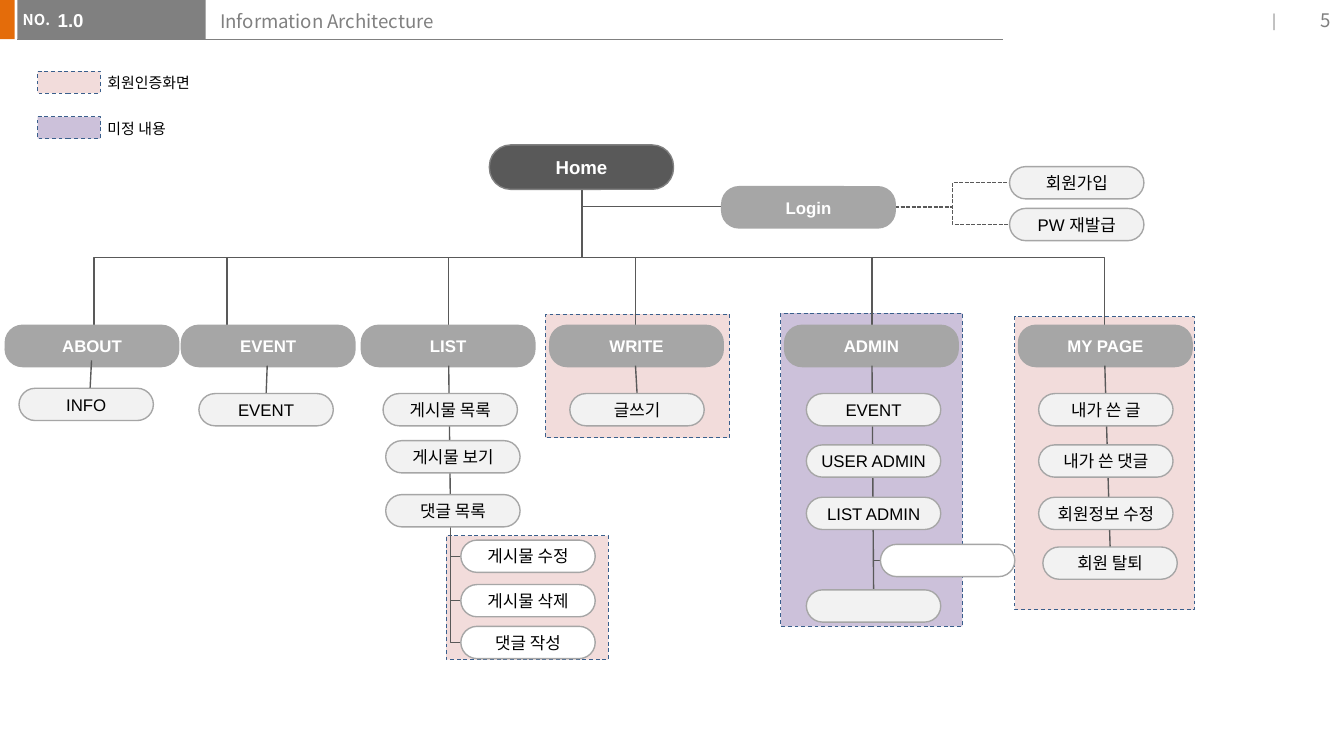
"""Builds the information architecture slide as a site map with branches."""
from dataclasses import dataclass
from typing import Any

from lxml import etree
from pptx import Presentation
from pptx.dml.color import RGBColor
from pptx.enum import dml, shapes, text
from pptx.oxml.ns import qn
from pptx.util import Cm, Pt


@dataclass(frozen=True)
class Theme:
    accent: str = "E46C0A"
    grey: str = "808080"
    dark: str = "595959"
    mid: str = "A6A6A6"
    pale: str = "F2F2F2"
    white: str = "FFFFFF"
    black: str = "000000"
    member: str = "F2DCDB"
    pending: str = "CCC1DA"
    zone_edge: str = "3A5F8C"
    latin: str = "Arial"
    korean: str = "Noto Sans CJK KR"
    heading: int = 10
    node: int = 9
    small: int = 8


@dataclass(frozen=True)
class Box:
    left: float
    top: float
    width: float
    height: float

    def lengths(self) -> tuple[Cm, Cm, Cm, Cm]:
        return Cm(self.left), Cm(self.top), Cm(self.width), Cm(self.height)


@dataclass(frozen=True)
class Page:
    label: str
    left: float
    top: float
    fill: str = Theme.pale


@dataclass(frozen=True)
class Branch:
    label: str
    left: float
    drop: float
    spine: tuple[float, float, float, float]
    pages: tuple[Page, ...]


THEME = Theme()
HEADER_TOP, HEADER_WIDTH, HEADER_HEIGHT = 6.15, 3.28, 0.78
PAGE_WIDTH, PAGE_HEIGHT = 2.54, 0.61
HOME_X, HOME_BOTTOM = 11.0, 3.58
LOGIN_LEFT, LOGIN_MIDDLE = 13.64, 3.91

BRANCHES = (
    Branch("ABOUT", 0.1, 1.78, (1.73, 6.81, 1.7, 7.4), (Page("INFO", 0.36, 7.34),)),
    Branch("EVENT", 3.43, 4.29, (5.05, 6.91, 5.03, 7.44), (Page("EVENT", 3.76, 7.44),)),
    Branch("LIST", 6.83, 8.48, (8.48, 6.91, 8.51, 9.4), (
        Page("게시물 목록", 7.24, 7.44), Page("게시물 보기", 7.29, 8.33),
        Page("댓글 목록", 7.29, 9.35))),
    Branch("WRITE", 10.39, 12.01, (12.01, 6.91, 12.04, 7.44), (Page("글쓰기", 10.77, 7.44),)),
    Branch("ADMIN", 14.83, 16.48, (16.48, 6.91, 16.51, 11.15), (
        Page("EVENT", 15.24, 7.44), Page("USER ADMIN", 15.24, 8.41),
        Page("LIST ADMIN", 15.24, 9.4), Page("", 15.24, 11.15))),
    Branch("MY PAGE", 19.25, 20.88, (20.88, 6.91, 20.98, 10.34), (
        Page("내가 쓴 글", 19.63, 7.44), Page("내가 쓴 댓글", 19.63, 8.41),
        Page("회원정보 수정", 19.63, 9.4), Page("회원 탈퇴", 19.71, 10.34))),
)
LIST_ACTIONS = (
    Page("게시물 수정", 8.71, 10.21, THEME.white),
    Page("게시물 삭제", 8.71, 11.05, THEME.white),
    Page("댓글 작성", 8.71, 11.84, THEME.white),
)
ADMIN_ACTION = Page("", 16.64, 10.29, THEME.white)
LOGIN_PAGES = (Page("회원가입", 19.08, 3.15), Page("PW 재발급", 19.08, 3.94))
ZONES = (
    (Box(14.76, 5.92, 3.43, 5.92), THEME.pending),
    (Box(8.43, 10.13, 3.07, 2.34), THEME.member),
    (Box(19.18, 5.99, 3.4, 5.54), THEME.member),
    (Box(10.31, 5.94, 3.48, 2.34), THEME.member),
)
LEGEND = (("회원인증화면", 1.35, THEME.member), ("미정 내용", 2.21, THEME.pending))


def write(frame: Any, words: str, *, size: int, color: str, font: str = THEME.korean,
          bold: bool = False, align: Any = text.PP_ALIGN.LEFT,
          anchor: Any = text.MSO_ANCHOR.TOP, wrap: bool = True,
          margins: tuple[float, float] = (0.25, 0.13), before: float | None = None) -> None:
    frame.word_wrap, frame.vertical_anchor = wrap, anchor
    frame.auto_size = text.MSO_AUTO_SIZE.NONE
    frame.margin_left = frame.margin_right = Cm(margins[0])
    frame.margin_top = frame.margin_bottom = Cm(margins[1])
    paragraph = frame.paragraphs[0]
    paragraph.alignment = align
    if before is not None:
        paragraph.space_before = Pt(before)
    run = paragraph.add_run()
    run.text = words
    run.font.name, run.font.size, run.font.bold = font, Pt(size), bold
    run.font.color.rgb = RGBColor.from_string(color)
    etree.SubElement(run.font._element, qn("a:ea"), typeface=THEME.korean)


def label(slide: Any, box: Box, words: str, **style: Any) -> None:
    write(slide.shapes.add_textbox(*box.lengths()).text_frame, words, **style)


def block(slide: Any, box: Box, fill: str, edge: str | None = None, *,
          preset: Any = shapes.MSO_SHAPE.RECTANGLE, weight: float = 0.5) -> Any:
    area = slide.shapes.add_shape(preset, *box.lengths())
    area.shadow.inherit = False
    area.fill.solid()
    area.fill.fore_color.rgb = RGBColor.from_string(fill)
    if edge:
        area.line.color.rgb = RGBColor.from_string(edge)
        area.line.width = Pt(weight)
    else:
        area.line.fill.background()
    return area


def zone(slide: Any, box: Box, fill: str) -> None:
    block(slide, box, fill, THEME.zone_edge).line.dash_style = dml.MSO_LINE.DASH


def pill(slide: Any, box: Box, words: str, fill: str, edge: str, *, rounding: float = 0.5,
         color: str = THEME.black, size: int = THEME.node, bold: bool = False) -> None:
    node = block(slide, box, fill, edge, weight=0.75, preset=shapes.MSO_SHAPE.ROUNDED_RECTANGLE)
    node.adjustments[0] = rounding
    if words:
        write(node.text_frame, words, size=size, color=color, font=THEME.latin, bold=bold,
              align=text.PP_ALIGN.CENTER, anchor=text.MSO_ANCHOR.MIDDLE,
              margins=(0.05, 0.05), before=1)


def header(slide: Any, words: str, left: float, top: float) -> None:
    pill(slide, Box(left, top, HEADER_WIDTH, HEADER_HEIGHT), words, THEME.mid, THEME.mid,
         rounding=0.42, color=THEME.white, bold=True)


def page(slide: Any, item: Page) -> None:
    pill(slide, Box(item.left, item.top, PAGE_WIDTH, PAGE_HEIGHT), item.label, item.fill, THEME.mid)


def link(slide: Any, x1: float, y1: float, x2: float, y2: float, *, color: str = THEME.dark,
         weight: float = 0.75, kind: Any = shapes.MSO_CONNECTOR.STRAIGHT) -> Any:
    line = slide.shapes.add_connector(kind, Cm(x1), Cm(y1), Cm(x2), Cm(y2))
    line.line.color.rgb = RGBColor.from_string(color)
    line.line.width = Pt(weight)
    etree.SubElement(line._element.spPr, qn("a:effectLst"))
    return line


def drop(slide: Any, x1: float, y1: float, x2: float, y2: float, *, corner: bool = False) -> None:
    """Draws an elbow that leaves downwards, ending sideways when it has one corner."""
    across, down = abs(x2 - x1) / 2, (y2 - y1) / 2
    x, y = (x1 + x2) / 2, (y1 + y2) / 2
    side = 1 if x2 < x1 else -1
    elbow = link(slide, x - side * down, y - across, x + side * down, y + across,
                 kind=shapes.MSO_CONNECTOR.ELBOW)
    properties = elbow._element.spPr
    properties.find(qn("a:xfrm")).set("rot", str((90 if side == 1 else 270) * 60000))
    if corner:
        properties.find(qn("a:prstGeom")).set("prst", "bentConnector2")


def draw_heading(slide: Any) -> None:
    block(slide, Box(-0.03, 0, 0.31, 0.74), THEME.accent)
    block(slide, Box(0.33, 0, 3.56, 0.74), THEME.grey)
    link(slide, 0.33, 0.74, 18.95, 0.74, color=THEME.grey, weight=0.5)
    label(slide, Box(0.18, 0.08, 1.04, 0.61), "NO.", size=THEME.small, color=THEME.white,
          bold=True, wrap=False)
    title, number = slide.shapes.title, slide.placeholders[1]
    for holder, box in ((title, Box(3.91, 0.05, 15.01, 0.81)), (number, Box(1.09, 0.03, 2.79, 0.79))):
        holder.left, holder.top, holder.width, holder.height = box.lengths()
        slide.shapes._spTree.append(holder._element)
    write(title.text_frame, "Information Architecture", size=THEME.heading, color=THEME.grey)
    write(number.text_frame, "1.0", size=THEME.heading, color=THEME.white, font=THEME.latin,
          bold=True, margins=(0, 0.13), before=2)
    layout = number.text_frame.paragraphs[0]._p.get_or_add_pPr()
    layout.set("marL", "0")
    layout.set("indent", "0")
    etree.SubElement(layout, qn("a:buNone"))
    for words, left, size in (("|", 22.85, THEME.small), ("5", 23.88, THEME.heading)):
        label(slide, Box(left, 0, 1.52, 0.76), words, size=size, color=THEME.grey,
              align=text.PP_ALIGN.RIGHT, anchor=text.MSO_ANCHOR.MIDDLE)


def draw_links(slide: Any) -> None:
    for branch in BRANCHES:
        drop(slide, HOME_X, HOME_BOTTOM, branch.drop, HEADER_TOP)
    drop(slide, HOME_X, HOME_BOTTOM, LOGIN_LEFT, LOGIN_MIDDLE, corner=True)
    for item in LIST_ACTIONS:
        drop(slide, 8.51, 9.75, item.left, item.top + PAGE_HEIGHT / 2, corner=True)
    drop(slide, 16.51, 10.01, ADMIN_ACTION.left, ADMIN_ACTION.top + PAGE_HEIGHT / 2, corner=True)
    for item in LOGIN_PAGES:
        fork = link(slide, LOGIN_LEFT + HEADER_WIDTH, LOGIN_MIDDLE, item.left,
                    item.top + PAGE_HEIGHT / 2, kind=shapes.MSO_CONNECTOR.ELBOW)
        fork.line.dash_style = dml.MSO_LINE.SQUARE_DOT


def draw_nodes(slide: Any) -> None:
    pill(slide, Box(9.25, 2.74, 3.48, 0.84), "Home", THEME.dark, THEME.grey, rounding=0.48,
         color=THEME.white, size=THEME.heading, bold=True)
    header(slide, "Login", LOGIN_LEFT, 3.53)
    for branch in BRANCHES:
        header(slide, branch.label, branch.left, HEADER_TOP)
        link(slide, *branch.spine)
        for item in branch.pages:
            page(slide, item)
    for item in (*LIST_ACTIONS, ADMIN_ACTION, *LOGIN_PAGES):
        page(slide, item)


def main() -> None:
    deck = Presentation()
    deck.slide_width, deck.slide_height = Cm(25.4), Cm(14.29)
    slide = deck.slides.add_slide(deck.slide_layouts[1])
    draw_heading(slide)
    for box, fill in ZONES:
        zone(slide, box, fill)
    for words, top, fill in LEGEND:
        zone(slide, Box(0.71, top, 1.19, 0.41), fill)
        label(slide, Box(1.78, top - 0.08, 2.24, 0.61), words, size=THEME.small,
              color=THEME.black, wrap=False)
    draw_links(slide)
    draw_nodes(slide)
    deck.save("out.pptx")


if __name__ == "__main__":
    main()
